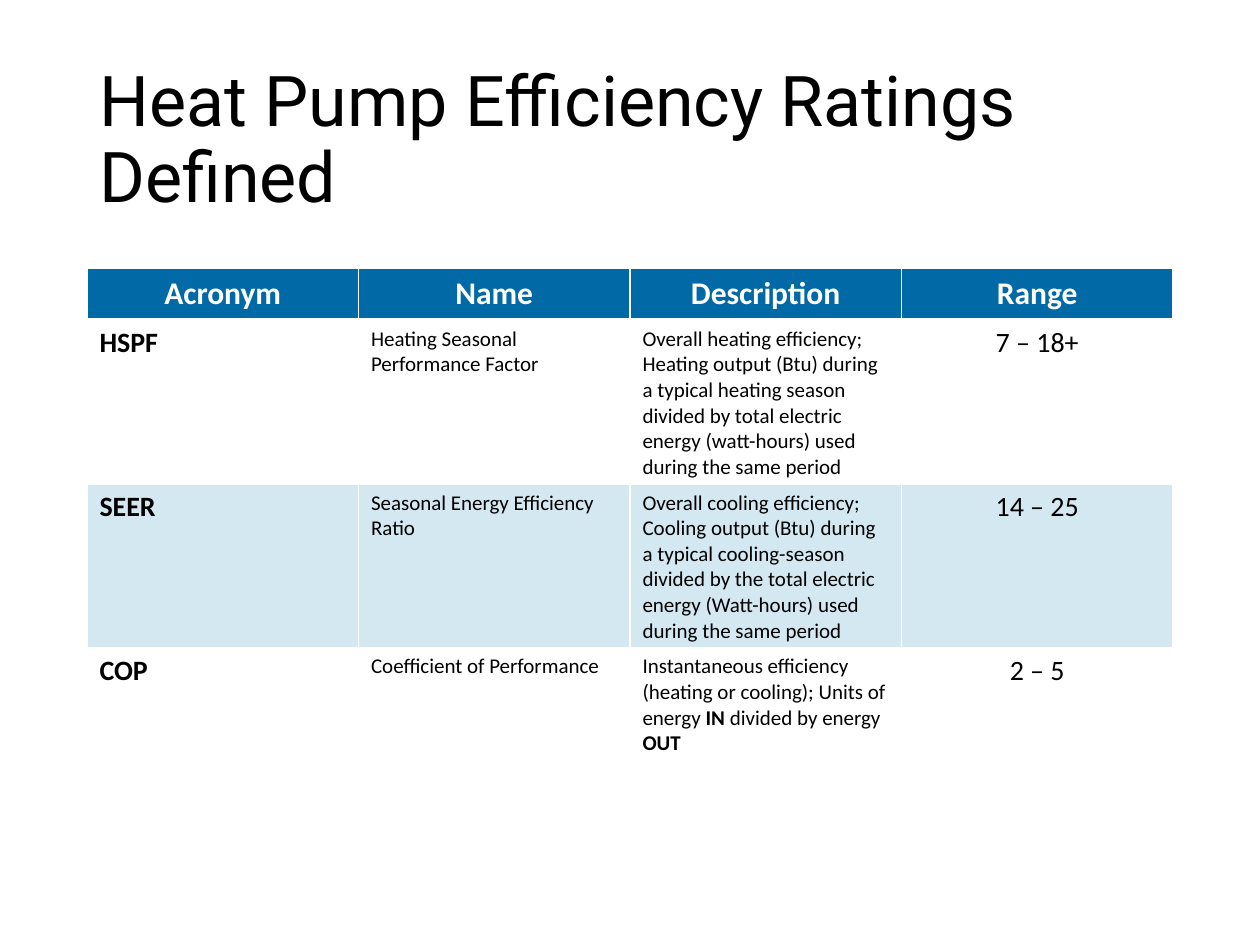
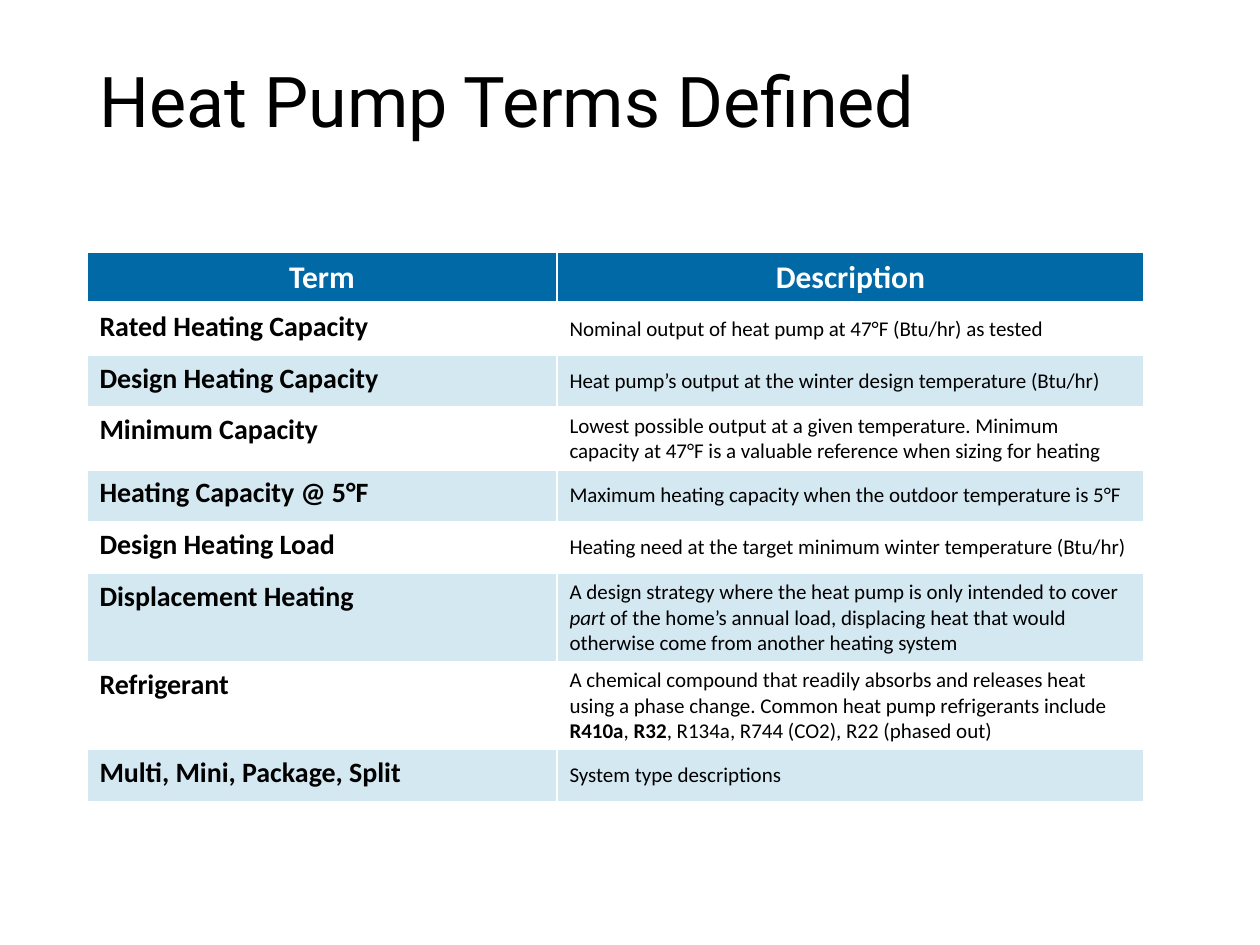
"""Build two slides of tables that define heat pump ratings and terms."""
from lxml import etree
from pptx import Presentation
from pptx.dml.color import RGBColor
from pptx.enum.text import MSO_ANCHOR, PP_ALIGN
from pptx.oxml.ns import qn
from pptx.util import Inches, Pt

CENTER, LEFT = PP_ALIGN.CENTER, PP_ALIGN.LEFT
TOP, MIDDLE = MSO_ANCHOR.TOP, MSO_ANCHOR.MIDDLE
WHITE = RGBColor(0xFF, 0xFF, 0xFF)
BLACK = RGBColor(0x00, 0x00, 0x00)
HEADER_BLUE = RGBColor(0x00, 0x69, 0xA6)
BAND_BLUE = RGBColor(0xD4, 0xE8, 0xF2)
TITLE_FONT, TABLE_FONT = "Roboto", "Calibri"
TITLE_SIZE, HEADER_SIZE, LARGE, SMALL = 40, 18, 16, 12
GRID_COLUMNS, GRID_ROWS = 100, 75
MARGIN, TITLE_TOP, ROW_HEIGHT = 6.9, 4, 4.1
BOLD, ITALIC = "bold", "italic"

RATINGS = [
    ("Acronym", "Name", "Description", "Range"),
    ("HSPF", "Heating Seasonal Performance Factor",
     "Overall heating efficiency; Heating output (Btu) during a typical heating season "
     "divided by total electric energy (watt-hours) used during the same period",
     "7 – 18+"),
    ("SEER", "Seasonal Energy Efficiency Ratio",
     "Overall cooling efficiency; Cooling output (Btu) during a typical cooling-season "
     "divided by the total electric energy (Watt-hours) used during the same period",
     "14 – 25"),
    ("COP", "Coefficient of Performance",
     [("Instantaneous efficiency (heating or cooling); Units of energy ", None),
      ("IN", BOLD), (" divided by energy ", None), ("OUT", BOLD)],
     "2 – 5"),
]

TERMS = [
    ("Term", "Description"),
    ("Rated Heating Capacity", "Nominal output of heat pump at 47°F (Btu/hr) as tested"),
    ("Design Heating Capacity",
     "Heat pump’s output at the winter design temperature (Btu/hr)"),
    ("Minimum Capacity",
     "Lowest possible output at a given temperature. Minimum capacity at 47°F is a "
     "valuable reference when sizing for heating"),
    ("Heating Capacity @ 5°F",
     "Maximum heating capacity when the outdoor temperature is 5°F"),
    ("Design Heating Load",
     "Heating need at the target minimum winter temperature (Btu/hr)"),
    ("Displacement Heating",
     [("A design strategy where the heat pump is only intended to cover ", None),
      ("part ", ITALIC),
      ("of the home’s annual load, displacing heat that would otherwise come from "
       "another heating system", None)]),
    ("Refrigerant",
     [("A chemical compound that readily absorbs and releases heat using a phase change. "
       "Common heat pump refrigerants include ", None),
      ("R410a", BOLD), (",", None), (" R32", BOLD),
      (", R134a, R744 (CO2), R22 (phased out)", None)]),
    ("Multi, Mini, Package, Split", "System type descriptions"),
]

TERM_STYLE = (LARGE, True, LEFT, TOP)
NAME_STYLE = (SMALL, False, LEFT, TOP)
RANGE_STYLE = (LARGE, False, CENTER, TOP)
DEFINITION_STYLE = (SMALL, False, LEFT, MIDDLE)
HEADER_STYLE = (HEADER_SIZE, True, CENTER, TOP)


class Deck:
    """Hold the shared style and the slide being filled."""

    def __init__(self):
        self.show = Presentation()
        self.show.slide_width, self.show.slide_height = Inches(10), Inches(7.5)
        self.slide = None

    def x(self, columns):
        return round(self.show.slide_width * columns / GRID_COLUMNS)

    def y(self, rows):
        return round(self.show.slide_height * rows / GRID_ROWS)

    def add_slide(self, title, title_height):
        self.slide = self.show.slides.add_slide(self.show.slide_layouts[6])
        box = self.slide.shapes.add_textbox(
            self.x(MARGIN), self.y(TITLE_TOP),
            self.x(GRID_COLUMNS - 2 * MARGIN), self.y(title_height))
        frame = box.text_frame
        frame.text = title
        frame.word_wrap = True
        frame.vertical_anchor = MIDDLE
        heading = frame.paragraphs[0]
        heading.line_spacing = 0.9
        self.style_run(heading.runs[0], TITLE_FONT, TITLE_SIZE, BLACK)

    def style_run(self, run, face, size, color, bold=False, italic=False):
        font = run.font
        font.name, font.size = face, Pt(size)
        font.bold, font.italic = bold, italic
        font.color.rgb = color

    def add_table(self, top, height, widths, entries, column_styles):
        frame = self.slide.shapes.add_table(
            len(entries), len(widths), self.x(MARGIN), self.y(top),
            self.x(sum(widths)), self.y(height))
        table = frame.table
        table.horz_banding = False
        for column, width in zip(table.columns, widths):
            column.width = self.x(width)
        for index, entry in enumerate(entries):
            table.rows[index].height = self.y(ROW_HEIGHT)
            header = index == 0
            fill = HEADER_BLUE if header else None if index % 2 else BAND_BLUE
            for position, content in enumerate(entry):
                cell = table.cell(index, position)
                self.add_borders(cell, 3 if header else 1, 3 if index == 1 else 1)
                self.fill_cell(cell, fill)
                self.write_cell(cell, content, WHITE if header else BLACK,
                                HEADER_STYLE if header else column_styles[position])
        frame.height = self.y(height)

    def add_borders(self, cell, bottom, top):
        properties = cell._tc.get_or_add_tcPr()
        for side, width in (("L", 1), ("R", 1), ("T", top), ("B", bottom)):
            line = etree.SubElement(properties, qn(f"a:ln{side}"), w=str(Pt(width)))
            solid = etree.SubElement(line, qn("a:solidFill"))
            etree.SubElement(solid, qn("a:srgbClr"), val=str(WHITE))

    def fill_cell(self, cell, color):
        if color is None:
            cell.fill.background()
        else:
            cell.fill.solid()
            cell.fill.fore_color.rgb = color

    def write_cell(self, cell, content, color, style):
        size, bold, alignment, anchor = style
        spans = [(content, None)] if isinstance(content, str) else content
        cell.vertical_anchor = anchor
        paragraph = cell.text_frame.paragraphs[0]
        paragraph.alignment = alignment
        for text, emphasis in spans:
            run = paragraph.add_run()
            run.text = text
            self.style_run(run, TABLE_FONT, size, color,
                           bold or emphasis == BOLD, emphasis == ITALIC)


def main():
    deck = Deck()
    deck.add_slide("Heat Pump Efficiency Ratings Defined", 14.5)
    deck.add_table(21.3, 39.1, [21.55] * 4, RATINGS,
                   [TERM_STYLE, NAME_STYLE, NAME_STYLE, RANGE_STYLE])
    deck.add_slide("Heat Pump Terms Defined", 8.6)
    deck.add_table(20, 43.3, [37.3, 46.6], TERMS, [TERM_STYLE, DEFINITION_STYLE])
    deck.show.save("out.pptx")


if __name__ == "__main__":
    main()
